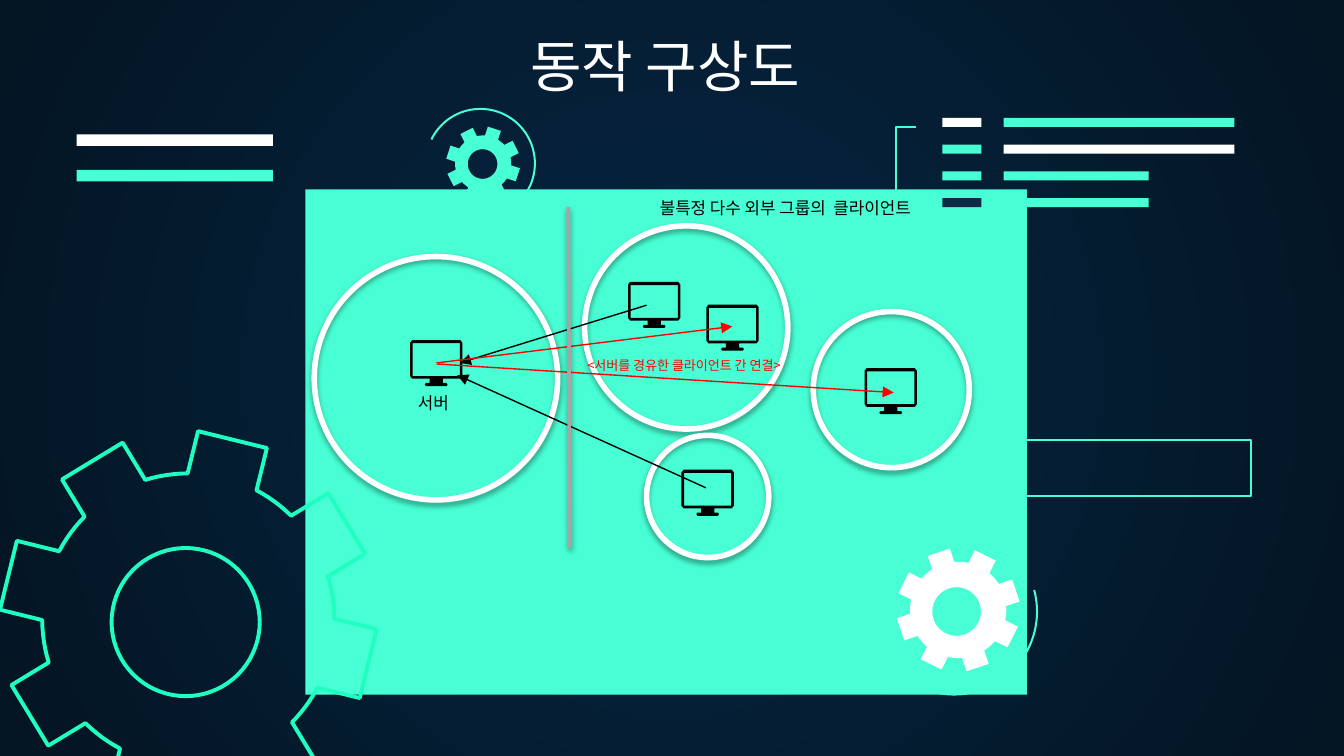
import math
import lxml.etree
import pptx
import pptx.dml.color
import pptx.enum.shapes
import pptx.enum.text
import pptx.oxml.ns
import pptx.util

Cm = pptx.util.Cm
Pt = pptx.util.Pt
tint = pptx.dml.color.RGBColor.from_string
qn = pptx.oxml.ns.qn
sub = lxml.etree.SubElement
kind = pptx.enum.shapes.MSO_SHAPE
MINT, WHITE, BLACK, RED = "48FFD5", "FFFFFF", "000000", "FF0000"
FONT = "Noto Sans CJK KR"

deck = pptx.Presentation()
deck.slide_width, deck.slide_height = Cm(25.4), Cm(14.29)
slide = deck.slides.add_slide(deck.slide_layouts[5])
shapes = slide.shapes


def paint(shape, fill=None, line=None, width=1, shade=False):
    if fill:
        shape.fill.solid()
        shape.fill.fore_color.rgb = tint(fill)
    elif hasattr(shape, "fill"):
        shape.fill.background()
    if line:
        shape.line.color.rgb = tint(line)
        shape.line.width = Pt(width)
    else:
        shape.line.fill.background()
    glow = sub(shape._element.spPr, qn("a:effectLst"))
    if shade:
        drop = sub(glow, qn("a:outerShdw"), blurRad=str(Pt(3.1)),
                   dist=str(Pt(1.6)), dir="5400000", rotWithShape="0")
        dark = sub(drop, qn("a:srgbClr"), val=BLACK)
        sub(dark, qn("a:alpha"), val="38000")


def trace(loops, close=True):
    loops = [[(Cm(x), Cm(y)) for x, y in loop] for loop in loops]
    pen = shapes.build_freeform(*loops[0][0])
    for i, loop in enumerate(loops):
        if i:
            pen.move_to(*loop[0])
        pen.add_line_segments(loop[1:], close=close)
    return pen.convert_to_shape()


back = slide.background.fill
back.gradient()
for stop, hue in zip(back.gradient_stops, ("052643", "041523")):
    stop.color.rgb = tint(hue)
lin = next(slide._element.iter(qn("a:lin")))
round_ = lxml.etree.Element(qn("a:path"), path="circle")
sub(round_, qn("a:fillToRect"), l="50000", t="50000", r="50000", b="50000")
lin.getparent().replace(lin, round_)

panel = shapes.add_shape(kind.RECTANGLE, Cm(5.77), Cm(3.58), Cm(13.64), Cm(9.55))
paint(panel, MINT)

arcs = [(9.08, 3.09, 1.03, 206, 455), (18.03, 11.56, 1.57, -15, 233)]
for x, y, r, start, end in arcs:
    turns = [math.radians(a) for a in range(start, end + 1, 3)]
    arc = trace([[(x + r * math.cos(a), y + r * math.sin(a)) for a in turns]], False)
    paint(arc, None, MINT, 1.09)

gears = [
    (3.56, 11.71, 0.67, 3.5, 2.76, 13.8, 3.51, 11.76, 1.4, None, "1EFFC1"),
    (18.11, 11.53, 0.22, 1.15, 0.91, 26.4, 18.08, 11.56, 0.46, WHITE, None),
    (9.13, 3.09, 0.13, 0.69, 0.53, 18, 9.12, 3.1, 0.28, MINT, None),
]
for x, y, half, tip, root, turn, hx, hy, hole, fill, line in gears:
    foot, edge = math.asin(half / root), math.atan(half / tip)
    top = math.hypot(half, tip)
    gap = math.pi / 4 - 2 * foot
    rim = []
    for i in range(8):
        mid = math.radians(turn + 45 * i)
        spots = [(root, mid - foot), (top, mid - edge), (top, mid + edge)]
        spots += [(root, mid + foot + gap * k / 6) for k in range(6)]
        rim += [(x + r * math.cos(a), y + r * math.sin(a)) for r, a in spots]
    ring = [math.radians(a) for a in range(0, 360, 5)]
    core = [(hx + hole * math.cos(a), hy + hole * math.sin(a)) for a in ring]
    paint(trace([rim, core]), fill, line, 2.1)

bars = [(1.45, 2.54, 3.71, 0.22, WHITE), (1.45, 3.21, 3.71, 0.22, MINT)]
rows = [(WHITE, MINT, 4.36), (MINT, WHITE, 4.36), (MINT, MINT, 2.74), ("0E2A47", MINT, 2.74)]
for i, (key, hue, wide) in enumerate(rows):
    y = 2.23 + 0.505 * i
    bars += [(17.81, y, 0.74, 0.17, key), (18.97, y, wide, 0.17, hue)]
for x, y, w, h, hue in bars:
    paint(shapes.add_shape(kind.RECTANGLE, Cm(x), Cm(y), Cm(w), Cm(h)), hue)

hook = trace([[(17.35, 3.96), (16.94, 3.96), (16.94, 2.41), (17.32, 2.41)]], False)
paint(hook, None, MINT, 1.09)
frame = shapes.add_shape(kind.RECTANGLE, Cm(18.29), Cm(8.32), Cm(5.36), Cm(1.06))
paint(frame, None, MINT, 1.09)

zones = [(11.05, 4.27, 3.84), (5.94, 4.85, 4.6), (12.22, 8.23, 2.31), (15.37, 5.89, 2.95)]
for x, y, size in zones:
    zone = shapes.add_shape(kind.OVAL, Cm(x), Cm(y), Cm(size), Cm(size))
    paint(zone, None, WHITE, 3, True)

case = [(0.04, 0), (0.95, 0), (0.99, 0.05), (0.99, 0.68), (0.95, 0.73),
        (0.62, 0.73), (0.62, 0.81), (0.69, 0.81), (0.71, 0.84), (0.69, 0.87),
        (0.3, 0.87), (0.28, 0.84), (0.3, 0.81), (0.37, 0.81), (0.37, 0.73),
        (0.04, 0.73), (0, 0.68), (0, 0.05)]
glass = [(0.05, 0.06), (0.94, 0.06), (0.94, 0.68), (0.05, 0.68)]
spots = [(7.75, 6.43), (12.88, 8.88), (16.34, 6.96), (13.35, 5.76), (11.87, 5.33)]
for x, y in spots:
    paint(trace([[(x + u, y + v) for u, v in loop] for loop in (case, glass)]), BLACK)

links = [
    (12.22, 5.77, 8.69, 6.86, BLACK, 0.75),
    (13.34, 9.22, 8.64, 7.09, BLACK, 0.75),
    (8.25, 6.86, 13.84, 6.17, RED, 0.75),
    (8.25, 6.88, 16.89, 7.42, RED, 0.75),
    (10.74, 3.91, 10.77, 10.36, "A6A6A6", 2),
]
for x, y, u, v, hue, wide in links:
    link = shapes.add_connector(pptx.enum.shapes.MSO_CONNECTOR.STRAIGHT,
                                Cm(x), Cm(y), Cm(u), Cm(v))
    split = wide == 2
    paint(link, None, hue, wide, split)
    if not split:
        sub(link.line._get_or_add_ln(), qn("a:tailEnd"), type="triangle")

title = shapes.title
title.left, title.top, title.width, title.height = Cm(0.74), Cm(0.43), Cm(23.67), Cm(1.68)
box = title.text_frame
box.margin_left = box.margin_right = box.margin_top = box.margin_bottom = Cm(0.25)
box.vertical_anchor = pptx.enum.text.MSO_ANCHOR.BOTTOM
box.paragraphs[0].alignment = pptx.enum.text.PP_ALIGN.CENTER
texts = [(box, "동작 구상도", 30, WHITE)]
notes = [
    (7.65, 7.29, 2.08, 0.64, "서버", 9, BLACK),
    (12.22, 3.61, 5.84, 0.64, "불특정 다수 외부 그룹의  클라이언트", 9, BLACK),
    (10.85, 6.63, 4.67, 0.56, "<서버를 경유한 클라이언트 간 연결>", 7, RED),
]
for x, y, w, h, words, size, hue in notes:
    note = shapes.add_textbox(Cm(x), Cm(y), Cm(w), Cm(h)).text_frame
    note.word_wrap = True
    texts.append((note, words, size, hue))
for body, words, size, hue in texts:
    run = body.paragraphs[0].add_run()
    run.text = words
    run.font.size = Pt(size)
    run.font.color.rgb = tint(hue)
    run.font.name = FONT
    sub(run.font._element, qn("a:ea"), typeface=FONT)

deck.save("out.pptx")
